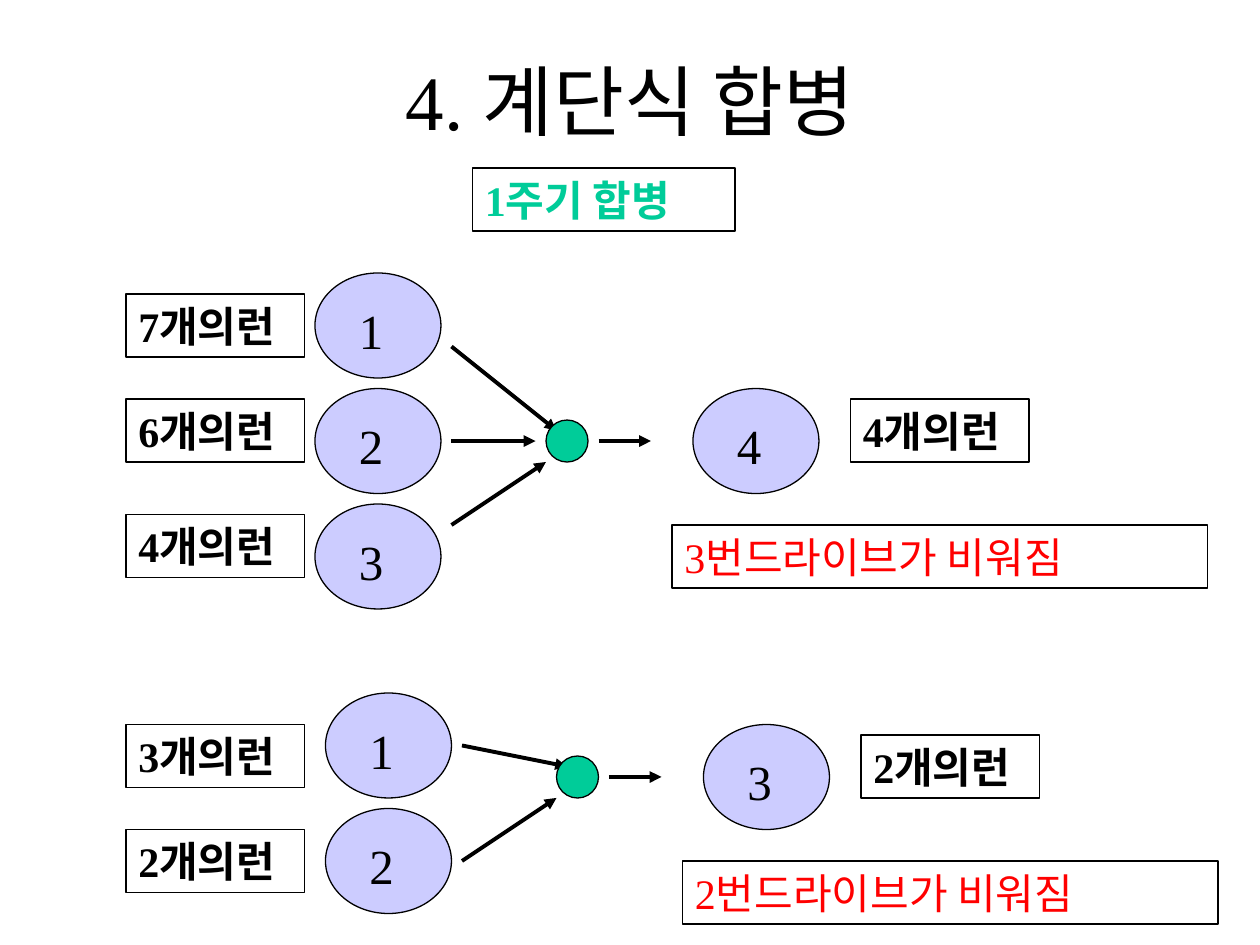
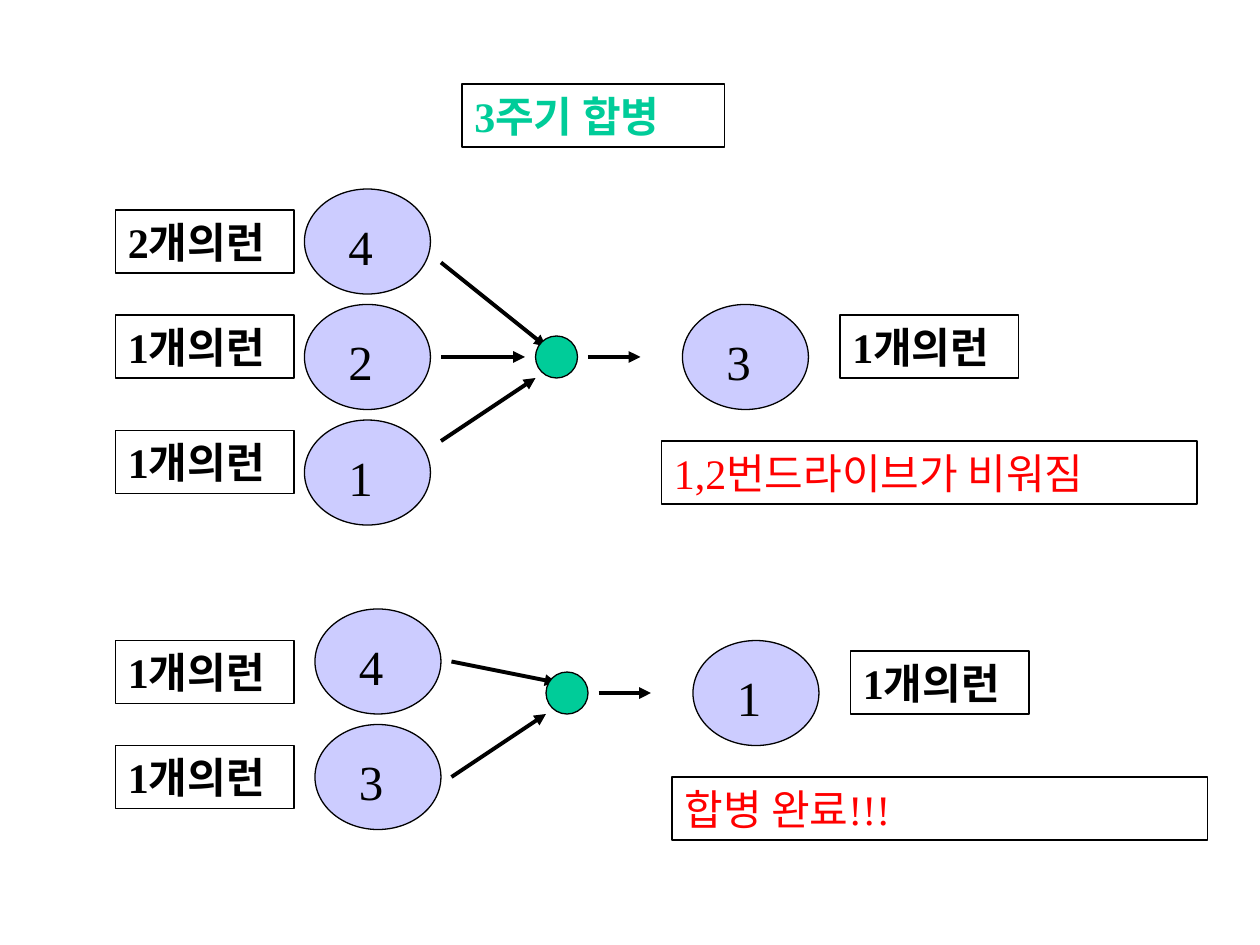
from dataclasses import dataclass

from lxml.etree import SubElement
from pptx import Presentation
from pptx.dml.color import RGBColor as Color
from pptx.enum.shapes import MSO_CONNECTOR as Connector, MSO_SHAPE as Shape
from pptx.enum.text import MSO_ANCHOR as Anchor, MSO_AUTO_SIZE as AutoSize, PP_ALIGN as Align
from pptx.oxml.ns import qn
from pptx.util import Pt


@dataclass(frozen=True)
class Theme:
    font: str = "Times New Roman"
    ink: Color = Color(0x00, 0x00, 0x00)
    alert: Color = Color(0xFF, 0x00, 0x00)
    accent: Color = Color(0x00, 0xCC, 0x99)
    drive: Color = Color(0xCC, 0xCC, 0xFF)
    title_size: float = 44
    number_size: float = 28
    label_size: float = 24
    outline: float = 0.75
    arrow: float = 2.25


@dataclass(frozen=True)
class MergeLayout:
    """Offsets from the top left corner of a merge diagram."""
    hub: tuple          # centre of the merge point
    label_tops: tuple   # run labels on the left
    arrow_starts: tuple # heights at which the incoming arrows start
    arrow_ends: tuple   # arrow tips, measured from the hub centre


THEME = Theme()
DRIVE_WIDTH, DRIVE_HEIGHT, DRIVE_STEP = 72, 60, 66
HUB_SIZE = 24
LABEL_WIDTH, LABEL_HEIGHT = 102, 36
CAPTION_WIDTH, NOTE_WIDTH = 150, 306

THREE_WAY = MergeLayout((252, 96), (12, 72, 138), (42, 96, 144),
                        ((-6, -6), (-18, 0), (-12, 12)))
TWO_WAY = MergeLayout((258, 48), (18, 78), (30, 96), ((-6, -6), (-12, 12)))


def write(box, text, *, size, color=THEME.ink, bold=False, align=Align.LEFT,
          anchor=Anchor.TOP, before=0, grow=True):
    frame = box.text_frame
    frame.word_wrap = True
    frame.auto_size = AutoSize.SHAPE_TO_FIT_TEXT if grow else AutoSize.NONE
    frame.vertical_anchor = anchor
    para = frame.paragraphs[0]
    para.alignment = align
    para.space_before = Pt(before)
    span = para.add_run()
    span.text = text
    span.font.name = THEME.font
    span.font.size = Pt(size)
    span.font.bold = bold
    span.font.color.rgb = color


def add_outlined(shapes, kind, left, top, width, height, fill=None):
    shape = shapes.add_shape(kind, Pt(left), Pt(top), Pt(width), Pt(height))
    shape.shadow.inherit = False
    if fill is None:
        shape.fill.background()
    else:
        shape.fill.solid()
        shape.fill.fore_color.rgb = fill
    shape.line.color.rgb = THEME.ink
    shape.line.width = Pt(THEME.outline)
    return shape


def add_label(shapes, text, left, top, width=LABEL_WIDTH, color=THEME.ink, bold=True):
    box = add_outlined(shapes, Shape.RECTANGLE, left, top, width, LABEL_HEIGHT)
    write(box, text, size=THEME.label_size, color=color, bold=bold, before=15)


def add_drive(shapes, number, left, top):
    add_outlined(shapes, Shape.OVAL, left, top, DRIVE_WIDTH, DRIVE_HEIGHT, THEME.drive)
    box = shapes.add_textbox(Pt(left + 18), Pt(top + 12), Pt(36), Pt(41))
    write(box, number, size=THEME.number_size, before=17.5)


def add_arrow(shapes, start, end):
    arrow = shapes.add_connector(Connector.STRAIGHT, *map(Pt, (*start, *end)))
    arrow.line.color.rgb = THEME.ink
    arrow.line.width = Pt(THEME.arrow)
    SubElement(arrow.line._get_or_add_ln(), qn("a:tailEnd"), type="triangle")
    SubElement(arrow._element.spPr, qn("a:effectLst"))


def add_title(page, text):
    box = page.shapes.add_textbox(Pt(54), Pt(24), Pt(612), Pt(66))
    write(box, text, size=THEME.title_size, align=Align.CENTER,
          anchor=Anchor.MIDDLE, grow=False)


def add_merge(page, left, top, layout, inputs, output, note, caption=None):
    """Draw one merge: input drives, hub, output drive and the remark below."""
    shapes = page.shapes.add_group_shape().shapes
    hub_x, hub_y = left + layout.hub[0], top + layout.hub[1]

    # Caption of the cycle
    if caption:
        add_label(shapes, caption, left + 198, top - 60, CAPTION_WIDTH, THEME.accent)

    # Input drives, their runs and the arrows into the hub
    rows = zip(inputs, layout.label_tops, layout.arrow_starts, layout.arrow_ends)
    for row, ((number, runs), label_top, start, (end_x, end_y)) in enumerate(rows):
        add_label(shapes, runs, left, top + label_top)
        add_drive(shapes, number, hub_x - 144, top + row * DRIVE_STEP)
        add_arrow(shapes, (hub_x - 66, top + start), (hub_x + end_x, hub_y + end_y))

    # Hub and the arrow out of it
    add_outlined(shapes, Shape.OVAL, hub_x - HUB_SIZE / 2, hub_y - HUB_SIZE / 2,
                 HUB_SIZE, HUB_SIZE, THEME.accent)
    add_arrow(shapes, (hub_x + 18, hub_y), (hub_x + 48, hub_y))

    # Output drive, its runs and the remark
    number, runs = output
    add_drive(shapes, number, hub_x + 72, hub_y - DRIVE_HEIGHT / 2)
    add_label(shapes, runs, hub_x + 162, hub_y - 24)
    add_label(shapes, note, hub_x + 60, hub_y + 48, NOTE_WIDTH, THEME.alert, bold=False)


def add_cycle_page(deck, left, top, first, second, title=None):
    page = deck.slides.add_slide(deck.slide_layouts[6])
    if title:
        add_title(page, title)
    add_merge(page, left, top, THREE_WAY, **first)
    add_merge(page, left, top + 240, TWO_WAY, **second)


def main():
    deck = Presentation()
    deck.slide_width, deck.slide_height = Pt(720), Pt(540)

    # First cycles
    add_cycle_page(
        deck, 72, 156, title="4. 계단식 합병",
        first=dict(caption="1주기 합병",
                   inputs=[("1", "7개의런"), ("2", "6개의런"), ("3", "4개의런")],
                   output=("4", "4개의런"), note="3번드라이브가 비워짐"),
        second=dict(inputs=[("1", "3개의런"), ("2", "2개의런")],
                    output=("3", "2개의런"), note="2번드라이브가 비워짐"))

    # Last cycles
    add_cycle_page(
        deck, 66, 108,
        first=dict(caption="3주기 합병",
                   inputs=[("4", "2개의런"), ("2", "1개의런"), ("1", "1개의런")],
                   output=("3", "1개의런"), note="1,2번드라이브가 비워짐"),
        second=dict(inputs=[("4", "1개의런"), ("3", "1개의런")],
                    output=("1", "1개의런"), note="합병 완료!!!"))

    deck.save("out.pptx")


if __name__ == "__main__":
    main()
